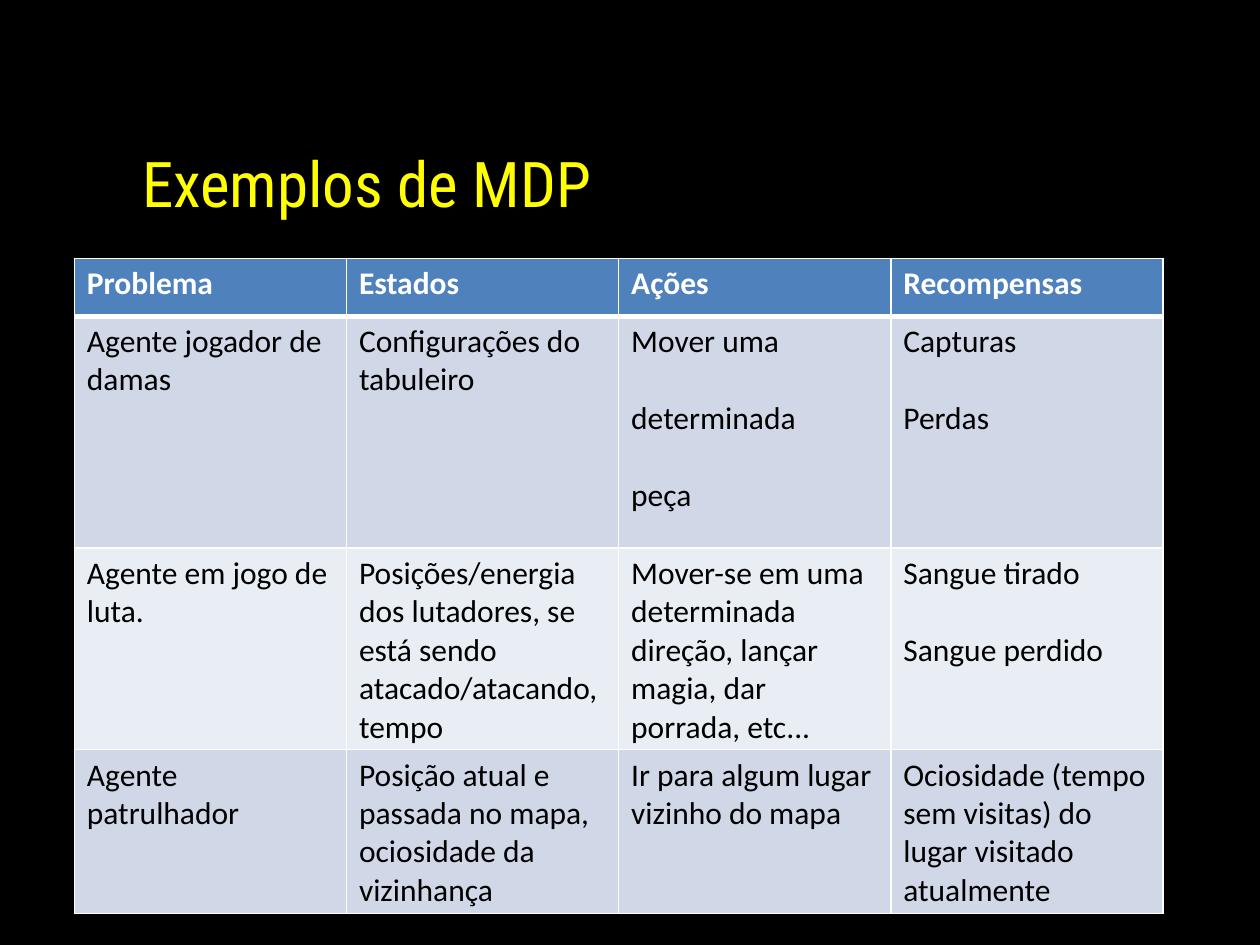
from dataclasses import dataclass

from lxml import etree
from pptx import Presentation
from pptx.dml.color import RGBColor
from pptx.enum.text import MSO_ANCHOR
from pptx.oxml.ns import qn
from pptx.util import Inches, Pt

TOP = MSO_ANCHOR.TOP


@dataclass(frozen=True)
class Theme:
    background: str = "000000"
    title: str = "FFFF00"
    header: str = "4F81BD"
    header_text: str = "FFFFFF"
    body_text: str = "000000"
    bands: tuple = ("D0D8E8", "E9EDF4")
    border: str = "FFFFFF"
    title_font: str = "Roboto Condensed"
    body_font: str = "Calibri"
    title_size: int = 36
    body_size: int = 18
    line_gap: int = 22
    thin: int = 1
    thick: int = 3


class SlideBuilder:
    def __init__(self, slide, theme):
        self.slide = slide
        self.theme = theme
        fill = slide.background.fill
        fill.solid()
        fill.fore_color.rgb = RGBColor.from_string(theme.background)

    def add_lines(self, frame, lines, color, **font_format):
        for index, line in enumerate(lines):
            paragraph = frame.paragraphs[0] if index == 0 else frame.add_paragraph()
            if index:
                paragraph.space_before = Pt(self.theme.line_gap)
            run = paragraph.add_run()
            run.text = line
            run.font.color.rgb = RGBColor.from_string(color)
            for name, value in font_format.items():
                setattr(run.font, name, value)

    def title(self, text, left, top, width, height, inset):
        frame = self.slide.shapes.add_textbox(
            Inches(left), Inches(top), Inches(width), Inches(height)
        ).text_frame
        frame_format = {
            "word_wrap": True,
            "vertical_anchor": TOP,
            "margin_top": Inches(inset),
        }
        for name, value in frame_format.items():
            setattr(frame, name, value)
        self.add_lines(frame, [text], self.theme.title,
                       name=self.theme.title_font, size=Pt(self.theme.title_size))

    def borders(self, cell, top, bottom):
        properties = cell._tc.get_or_add_tcPr()
        thin = self.theme.thin
        sides = {"a:lnL": thin, "a:lnR": thin, "a:lnT": top, "a:lnB": bottom}
        for position, (side, points) in enumerate(sides.items()):
            line = etree.Element(qn(side), w=str(Pt(points)))
            solid = etree.SubElement(line, qn("a:solidFill"))
            etree.SubElement(solid, qn("a:srgbClr"), val=self.theme.border)
            properties.insert(position, line)

    def table(self, rows, left, top, column_width, row_heights):
        theme = self.theme
        columns = len(rows[0])
        table = self.slide.shapes.add_table(
            len(rows), columns, Inches(left), Inches(top),
            Inches(column_width * columns), Inches(sum(row_heights))
        ).table
        for column in table.columns:
            column.width = Inches(column_width)
        for index, (row, height) in enumerate(zip(rows, row_heights)):
            table.rows[index].height = Inches(height)
            is_header = index == 0
            fill = theme.header if is_header else theme.bands[(index - 1) % 2]
            color = theme.header_text if is_header else theme.body_text
            upper = theme.thick if index == 1 else theme.thin
            lower = theme.thick if is_header else theme.thin
            for cell, text in zip(table.rows[index].cells, row):
                cell.fill.solid()
                cell.fill.fore_color.rgb = RGBColor.from_string(fill)
                self.borders(cell, upper, lower)
                self.add_lines(cell.text_frame, text.split("\n"), color,
                               name=theme.body_font, size=Pt(theme.body_size),
                               bold=is_header)


MDP_EXAMPLES = [
    ["Problema", "Estados", "Ações", "Recompensas"],
    ["Agente jogador de damas", "Configurações do tabuleiro",
     "Mover uma\ndeterminada\npeça", "Capturas\nPerdas"],
    ["Agente em jogo de luta.",
     "Posições/energia dos lutadores, se está sendo atacado/atacando, tempo",
     "Mover-se em uma determinada direção, lançar magia, dar porrada, etc...",
     "Sangue tirado\nSangue perdido"],
    ["Agente patrulhador",
     "Posição atual e passada no mapa, ociosidade da vizinhança",
     "Ir para algum lugar vizinho do mapa",
     "Ociosidade (tempo sem visitas) do lugar visitado atualmente"],
]

presentation = Presentation()
presentation.slide_width = Inches(10)
presentation.slide_height = Inches(7.5)
builder = SlideBuilder(
    presentation.slides.add_slide(presentation.slide_layouts[6]), Theme()
)
builder.title("Exemplos de MDP", 1.03, 0.8, 6.87, 1.62, inset=0.35)
builder.table(MDP_EXAMPLES, 0.59, 2.05, 2.16, [0.46, 1.84, 1.6, 1.3])
presentation.save("out.pptx")
